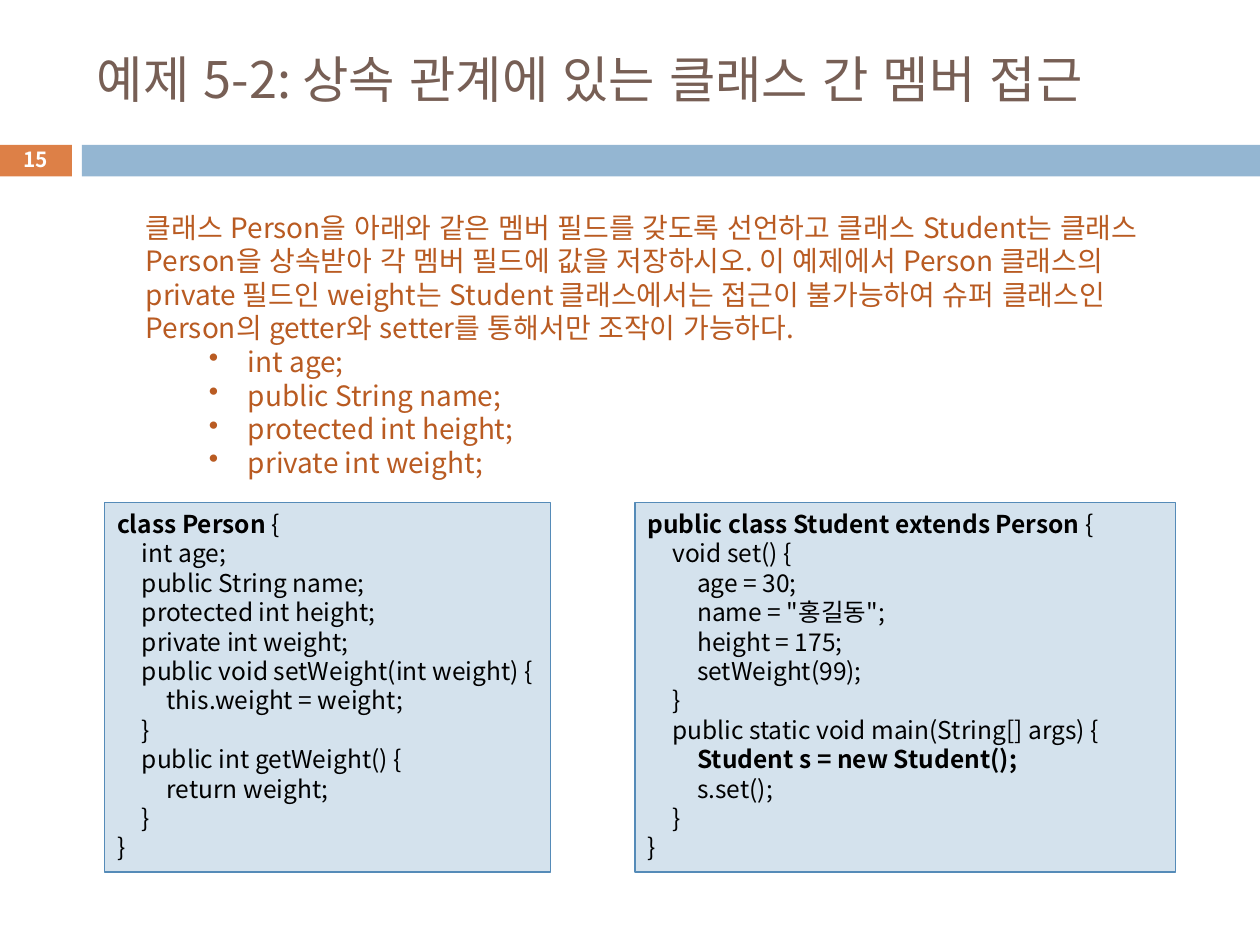
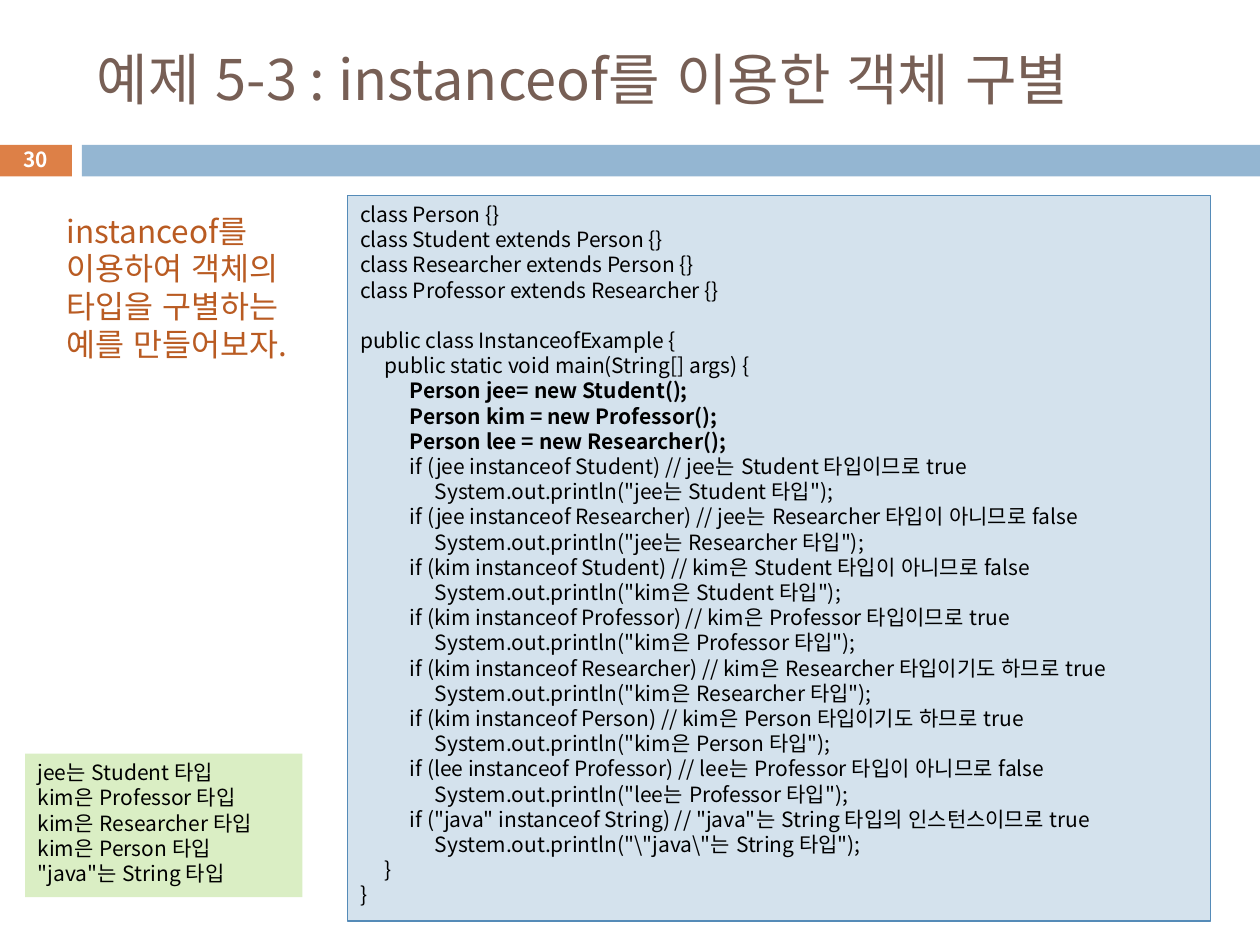
from lxml import etree
from pptx import Presentation
from pptx.dml.color import RGBColor
from pptx.enum.lang import MSO_LANGUAGE_ID
from pptx.enum.shapes import MSO_SHAPE
from pptx.enum.text import MSO_ANCHOR, MSO_AUTO_SIZE, PP_ALIGN
from pptx.oxml.ns import qn
from pptx.util import Pt

RECT = MSO_SHAPE.RECTANGLE
TOP, MID = MSO_ANCHOR.TOP, MSO_ANCHOR.MIDDLE
LEFT, MIDDLE = PP_ALIGN.LEFT, PP_ALIGN.CENTER
NO_FIT = MSO_AUTO_SIZE.NONE
KOREAN = MSO_LANGUAGE_ID.KOREAN

# Content: code is indented by four spaces, ** marks bold
PERSON = """\
**class Person **{
    int age;
    public String name;
    protected int height;
    private int weight;
    public void setWeight(int weight) {
        this.weight = weight;
    }
    public int getWeight() {
        return weight;
    }
}"""

STUDENT = """\
**public class Student extends Person **{
    void set() {
        age = 30;
        name = "홍길동";
        height = 175;
        setWeight(99);
    }
    public static void main(String[] args) {
        **Student s = new Student();**
        s.set();
    }
}"""

START = """\
class Person {}
class Student extends Person {}
class Researcher extends Person {}
class Professor extends Researcher {}

public class InstanceofExample {
    public static void main(String[] args) {
        **Person jee= new Student();**
        **Person kim = new Professor();**
        **Person lee = new Researcher();**"""

# Object, particle, type, reason
TESTS = [
    ("jee", "는", "Student", "타입이므로 true"),
    ("jee", "는", "Researcher", "타입이 아니므로 false"),
    ("kim", "은", "Student", "타입이 아니므로 false"),
    ("kim", "은", "Professor", "타입이므로 true"),
    ("kim", "은", "Researcher", "타입이기도 하므로 true"),
    ("kim", "은", "Person", "타입이기도 하므로 true"),
    ("lee", "는", "Professor", "타입이 아니므로 false"),
    ('"java"', "는", "String", "타입의 인스턴스이므로 true"),
]

OUTPUT = """\
jee는 Student 타입
kim은 Professor 타입
kim은 Researcher 타입
kim은 Person 타입
"java"는 String 타입"""

TASK = (
    "클래스 Person을 아래와 같은 멤버 필드를 갖도록 선언하고 클래스 Student는 "
    "클래스 Person을 상속받아 각 멤버 필드에 값을 저장하시오. 이 예제에서 Person "
    "클래스의 private 필드인 weight는 Student 클래스에서는 접근이 불가능하여 슈퍼 "
    "클래스인 Person의 getter와 setter를 통해서만 조작이 가능하다."
)
FIELDS = ["int age;", "public String name;", "protected int height;",
          "private int weight;"]


def list_tests():
    lines = START.split("\n")
    for name, mark, kind, why in TESTS:
        shown = name.replace('"', r'\"')
        lines.append(f"        if ({name} instanceof {kind}) // {name}{mark} {kind} {why}")
        lines.append(f'            System.out.println("{shown}{mark} {kind} 타입");')
    return lines + ["    }", "}"]


# Boxes: kind, place in points, text size, lines
SLIDES = [
    {"title": "예제 5-2: 상속 관계에 있는 클래스 간 멤버 접근", "size": 28.8, "num": "15",
     "boxes": [
         ("task", (76.3, 116.6, 595.4, 162.7), 16,
          [TASK] + ["• " + name for name in FIELDS]),
         ("code", (362.9, 287.3, 308.9, 211), 14, STUDENT.split("\n")),
         ("code", (59.8, 287.3, 254.9, 211), 14, PERSON.split("\n"))]},
    {"title": "예제 5-3 : instanceof를 이용한 객체 구별", "size": 32, "num": "30",
     "boxes": [
         ("task", (31, 117.4, 166.3, 94.3), 18,
          ["instanceof를 이용하여 객체의 타입을 구별하는 예를 만들어보자."]),
         ("code", (198.7, 111.6, 493.2, 414.7), 12, list_tests()),
         ("output", (14.4, 430.6, 158.4, 82), 12, OUTPUT.split("\n"))]},
]

# Shared style
FONT = "Noto Sans CJK KR"
KINDS = {  # fill, line, text
    "task": (None, None, "B95B22"),
    "code": ("D4E2ED", "558BB8", "000000"),
    "output": ("DAEEC4", None, "000000"),
}
BANDS = [((-0.7, 82.8, 41.8, 18), "DD8047"), ((46.8, 82.8, 673.2, 18), "94B6D2")]
TITLE = (48.2, 18, 642.2, 53.3)
NUMBER = (-0.7, 81.4, 41.8, 19.4)
LEAD = 1.2   # line height per text size
TAB = 14.2   # one step of code indent


def color(text):
    return RGBColor.from_string(text)


def place(shape, at):
    for name, val in zip(("left", "top", "width", "height"), at):
        setattr(shape, name, Pt(val))


def add_run(para, text, size, hue, bold=False):
    run = para.add_run()
    run.text = text
    form = {"name": FONT, "size": Pt(size), "bold": bold, "language_id": KOREAN}
    for name, val in form.items():
        setattr(run.font, name, val)
    run.font.color.rgb = color(hue)
    etree.SubElement(run.font._element, qn("a:ea"), typeface=FONT)


def set_frame(frame, anchor, right=7.2):
    form = {"word_wrap": True, "auto_size": NO_FIT, "vertical_anchor": anchor,
            "margin_left": Pt(7.2), "margin_right": Pt(right),
            "margin_top": Pt(3.6), "margin_bottom": Pt(3.6)}
    for name, val in form.items():
        setattr(frame, name, val)


def add_rect(slide, at, fill, line=None):
    box = slide.shapes.add_shape(RECT, *map(Pt, at))
    box.shadow.inherit = False
    box.fill.solid()
    box.fill.fore_color.rgb = color(fill)
    if line:
        box.line.color.rgb = color(line)
        box.line.width = Pt(0.75)
    else:
        box.line.fill.background()
    return box


def add_line(frame, pos, text, size, hue):
    para = frame.paragraphs[0] if pos == 0 else frame.add_paragraph()
    para.alignment = LEFT
    para.line_spacing = Pt(round(size * LEAD, 1))
    para.font.size = Pt(size)
    props = para._p.get_or_add_pPr()
    # Bullet with a hanging indent
    if text.startswith("• "):
        para.level = 1
        props.set("marL", str(Pt(58.3)))
        props.set("indent", str(-Pt(22.3)))
        mark = etree.Element(qn("a:buChar"), char="•")
        props.find(qn("a:lnSpc")).addnext(mark)
        text = text[2:]
    # Leading spaces become tabs with their own stops
    body = text.lstrip(" ")
    depth = (len(text) - len(body)) // 4
    if depth:
        stops = etree.Element(qn("a:tabLst"))
        for step in range(1, depth + 1):
            etree.SubElement(stops, qn("a:tab"), pos=str(Pt(TAB * step)), algn="l")
        props.find(qn("a:lnSpc")).addnext(stops)
    for part, words in enumerate(("\t" * depth + body).split("**")):
        if words:
            add_run(para, words, size, hue, part % 2 == 1)


def add_box(slide, kind, at, size, lines):
    fill, line, hue = KINDS[kind]
    if fill:
        box = add_rect(slide, at, fill, line)
    else:
        box = slide.shapes.add_textbox(*map(Pt, at))
    set_frame(box.text_frame, TOP, 7.2 if fill else 14)
    for pos, text in enumerate(lines):
        add_line(box.text_frame, pos, text, size, hue)


def add_base(deck, data):
    slide = deck.slides.add_slide(deck.slide_layouts[5])
    # Bands
    for at, fill in BANDS:
        add_rect(slide, at, fill)
    # Title
    title = slide.shapes.title
    place(title, TITLE)
    set_frame(title.text_frame, MID)
    para = title.text_frame.paragraphs[0]
    para.alignment = LEFT
    add_run(para, data["title"], data["size"], "775F55")
    # Slide number
    num = slide.shapes.add_textbox(*map(Pt, NUMBER))
    set_frame(num.text_frame, MID)
    para = num.text_frame.paragraphs[0]
    para.alignment = MIDDLE
    add_run(para, data["num"], 11.9, "FFFFFF", True)
    return slide


def main():
    deck = Presentation()
    deck.slide_width, deck.slide_height = Pt(720), Pt(540)
    for data in SLIDES:
        slide = add_base(deck, data)
        for box in data["boxes"]:
            add_box(slide, *box)
    deck.save("out.pptx")


if __name__ == "__main__":
    main()
